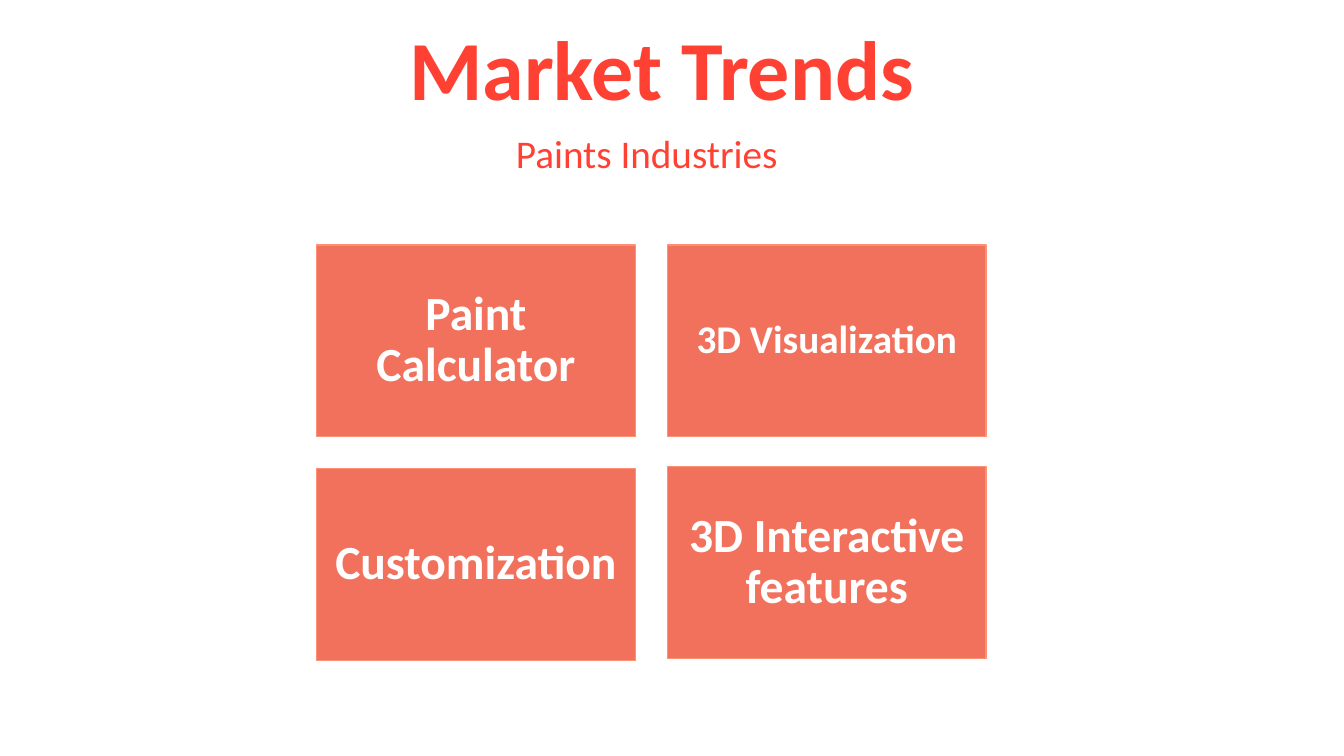
from dataclasses import dataclass

from pptx import Presentation
from pptx.dml.color import RGBColor
from pptx.enum.shapes import MSO_SHAPE
from pptx.enum.text import MSO_ANCHOR, MSO_AUTO_SIZE, PP_ALIGN
from pptx.util import Cm, Pt

LEFT, CENTER = PP_ALIGN.LEFT, PP_ALIGN.CENTER
TOP, MIDDLE = MSO_ANCHOR.TOP, MSO_ANCHOR.MIDDLE
NO_AUTOFIT = MSO_AUTO_SIZE.NONE
RECTANGLE = MSO_SHAPE.RECTANGLE


@dataclass(frozen=True)
class Theme:
    font: str = "Calibri"
    heading: RGBColor = RGBColor(0xFF, 0x41, 0x33)
    card_fill: RGBColor = RGBColor(0xF2, 0x71, 0x5C)
    card_line: RGBColor = RGBColor(0xFD, 0x91, 0x73)
    card_text: RGBColor = RGBColor(0xFF, 0xFF, 0xFF)
    title_size: int = 60
    subtitle_size: int = 28
    card_size: int = 34
    small_card_size: int = 28


THEME = Theme()

CARD_LEFT, CARD_TOP = 7.98, 6.17
CARD_WIDTH, CARD_HEIGHT = 8.03, 4.83
CARD_GAP = 0.81

# Label, text size, inset and upward shift, row by row
CARDS = [
    ("Paint Calculator", THEME.card_size, 0.36, 0),
    ("3D Visualization", THEME.small_card_size, 0.3, 0),
    ("Customization", THEME.card_size, 0.36, 0),
    ("3D Interactive features", THEME.card_size, 0.36, 0.05),
]


def write_text(shape, text, *, size, color, bold=False, align=CENTER,
               anchor=TOP, line_spacing=1.0, inset=None):
    frame = shape.text_frame
    frame.word_wrap = True
    frame.auto_size = NO_AUTOFIT
    frame.vertical_anchor = anchor
    if inset is not None:
        frame.margin_left = frame.margin_right = Cm(inset)
        frame.margin_top = frame.margin_bottom = Cm(inset)
    frame.text = text
    paragraph = frame.paragraphs[0]
    paragraph.alignment = align
    paragraph.line_spacing = line_spacing
    paragraph.space_before = Pt(0)
    font = paragraph.font
    font.name = THEME.font
    font.size = Pt(size)
    font.bold = bold
    font.color.rgb = color


def place(shape, left, top, width, height):
    shape.left, shape.top = Cm(left), Cm(top)
    shape.width, shape.height = Cm(width), Cm(height)


def add_card(slide, label, left, top, size, inset):
    card = slide.shapes.add_shape(RECTANGLE, Cm(left), Cm(top),
                                  Cm(CARD_WIDTH), Cm(CARD_HEIGHT))
    card.shadow.inherit = False
    card.fill.solid()
    card.fill.fore_color.rgb = THEME.card_fill
    card.line.color.rgb = THEME.card_line
    card.line.width = Pt(1)
    write_text(card, label, size=size, color=THEME.card_text, bold=True,
               anchor=MIDDLE, line_spacing=0.9, inset=inset)


def add_headings(slide):
    title, subtitle = slide.shapes.title, slide.placeholders[1]
    place(title, 10.06, 0.3, 13.74, 2.82)
    write_text(title, "Market Trends", size=THEME.title_size,
               color=THEME.heading, bold=True, align=LEFT)
    place(subtitle, 8.36, 3.12, 16.1, 1.45)
    write_text(subtitle, "Paints Industries ", size=THEME.subtitle_size,
               color=THEME.heading)


def main():
    presentation = Presentation()
    presentation.slide_width, presentation.slide_height = Cm(33.87), Cm(19.05)
    slide = presentation.slides.add_slide(presentation.slide_layouts[0])
    add_headings(slide)
    for index, (label, size, inset, shift) in enumerate(CARDS):
        row, column = divmod(index, 2)
        left = CARD_LEFT + column * (CARD_WIDTH + CARD_GAP)
        top = CARD_TOP + row * (CARD_HEIGHT + CARD_GAP) - shift
        add_card(slide, label, left, top, size, inset)
    presentation.save("out.pptx")


if __name__ == "__main__":
    main()
